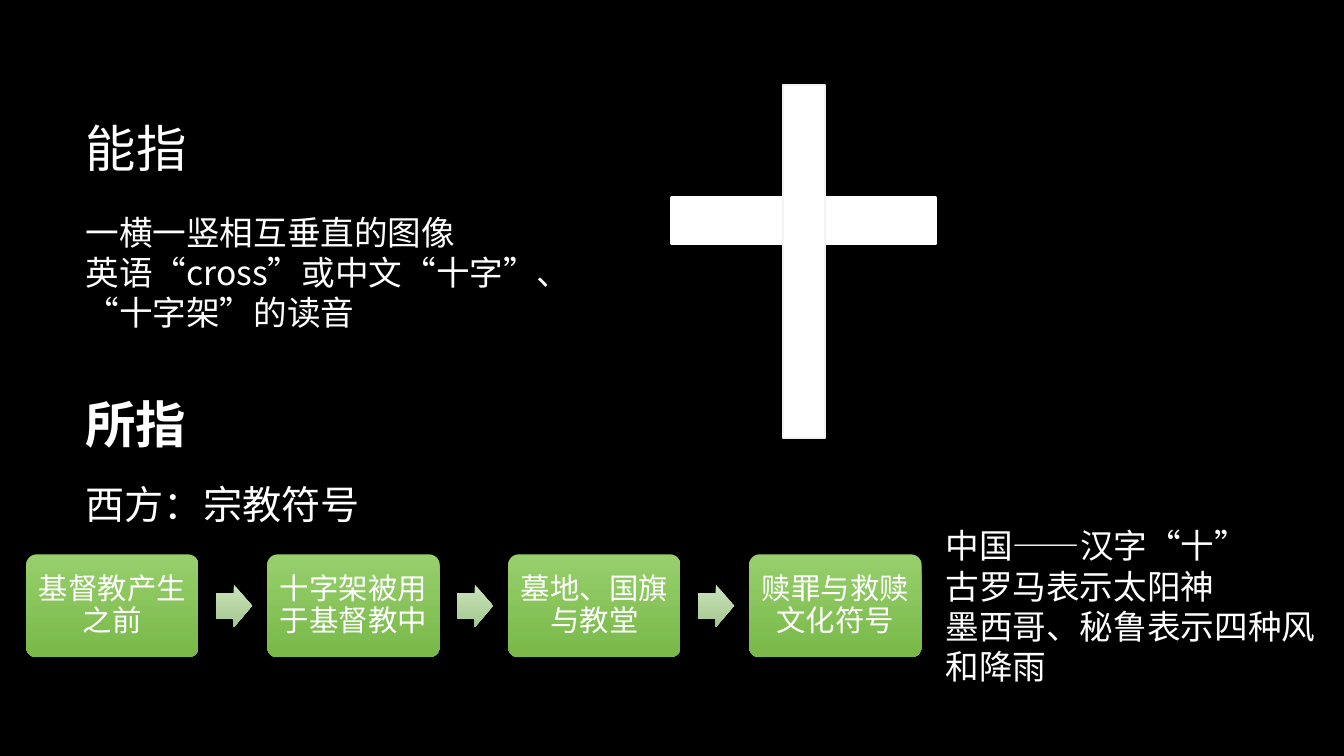
import pptx
import pptx.util
import pptx.dml.color
import pptx.enum.lang
import pptx.enum.shapes
import pptx.enum.text
import pptx.oxml.ns
from lxml import etree

PX = 9144  # 100 px to the inch
WHITE = "FFFFFF"
CJK = "Noto Sans CJK SC"
SHAPES = pptx.enum.shapes.MSO_SHAPE
ALIGN = pptx.enum.text.PP_ALIGN
MIDDLE = pptx.enum.text.MSO_ANCHOR.MIDDLE


def color(hex_value):
    return pptx.dml.color.RGBColor.from_string(hex_value)


def write(shape, text, size, font=CJK, bold=False, align=ALIGN.LEFT, spacing=None):
    frame = shape.text_frame
    frame.word_wrap = True
    frame.text = text
    for paragraph in frame.paragraphs:
        paragraph.alignment = align
        paragraph.line_spacing = spacing
        for run in paragraph.runs:
            run.font.size = pptx.util.Pt(size)
            run.font.bold = bold
            run.font.name = font
            run.font.color.rgb = color(WHITE)
            run.font.language_id = pptx.enum.lang.MSO_LANGUAGE_ID.SIMPLIFIED_CHINESE
            east_asian = etree.Element(pptx.oxml.ns.qn("a:ea"), typeface=CJK)
            run.font._element.find(pptx.oxml.ns.qn("a:latin")).addnext(east_asian)


deck = pptx.Presentation()
deck.slide_width, deck.slide_height = 1333 * PX, 750 * PX
slide = deck.slides.add_slide(deck.slide_layouts[5])
slide.background.fill.solid()
slide.background.fill.fore_color.rgb = color("000000")

# Title
signifier = slide.shapes.title
signifier.left, signifier.top = 75 * PX, 67 * PX
signifier.width, signifier.height = 1108 * PX, 159 * PX
signifier.text_frame.vertical_anchor = MIDDLE
write(signifier, "能指", 36)

# Cross: horizontal bar, then vertical bar on top
for bar_box, outline in (
    ((666, 196, 262, 46), WHITE),
    ((777, 84, 41, 351), "F2F2F2"),
):
    bar = slide.shapes.add_shape(SHAPES.RECTANGLE, *(v * PX for v in bar_box))
    bar.shadow.inherit = False
    bar.fill.solid()
    bar.fill.fore_color.rgb = color(WHITE)
    bar.line.color.rgb = color(outline)
    bar.line.width = pptx.util.Pt(1.5)

# Headings and notes
for note_box, text, size, bold in (
    ((75, 205, 487, 131), "一横一竖相互垂直的图像\n英语“cross”或中文“十字”、“十字架”的读音", 24, False),
    ((75, 385, 374, 71), "所指", 36, True),
    ((75, 472, 309, 57), "西方：宗教符号", 28, False),
    ((928, 516, 412, 172), "中国——汉字“十”\n古罗马表示太阳神\n墨西哥、秘鲁表示四种风和降雨", 24, False),
):
    note = slide.shapes.add_textbox(*(v * PX for v in note_box))
    write(note, text, size, bold=bold)

# History of the symbol in the West: four steps joined by arrows
steps = ["基督教产生之前", "十字架被用于基督教中", "墓地、国旗与教堂", "赎罪与救赎文化符号"]
STEP_LEFT, STEP_PITCH, ARROW_OFFSET = 26, 239, 188
flow = []
for index, label in enumerate(steps):
    left = STEP_LEFT + index * STEP_PITCH
    flow.append((SHAPES.ROUNDED_RECTANGLE, (left, 550, 171, 102), 0.1, ("97CF6D", "79B948"), label))
    if index < len(steps) - 1:
        flow.append((SHAPES.RIGHT_ARROW, (left + ARROW_OFFSET, 580, 36, 42), 0.6, ("C9E4BA", "A4C78F"), None))

for kind, part_box, adjustment, shades, label in flow:
    part = slide.shapes.add_shape(kind, *(v * PX for v in part_box))
    part.shadow.inherit = False
    part.adjustments[0] = adjustment
    part.line.fill.background()
    part.fill.gradient()
    part.fill.gradient_angle = 270
    for stop, position, shade in zip(part.fill.gradient_stops, (0, 1), shades):
        stop.position = position
        stop.color.rgb = color(shade)
    if label:
        frame = part.text_frame
        frame.margin_left = frame.margin_right = 9 * PX
        frame.margin_top = frame.margin_bottom = 9 * PX
        frame.vertical_anchor = MIDDLE
        write(part, label, 21, font="Calibri", align=ALIGN.CENTER, spacing=0.9)

deck.save("out.pptx")
